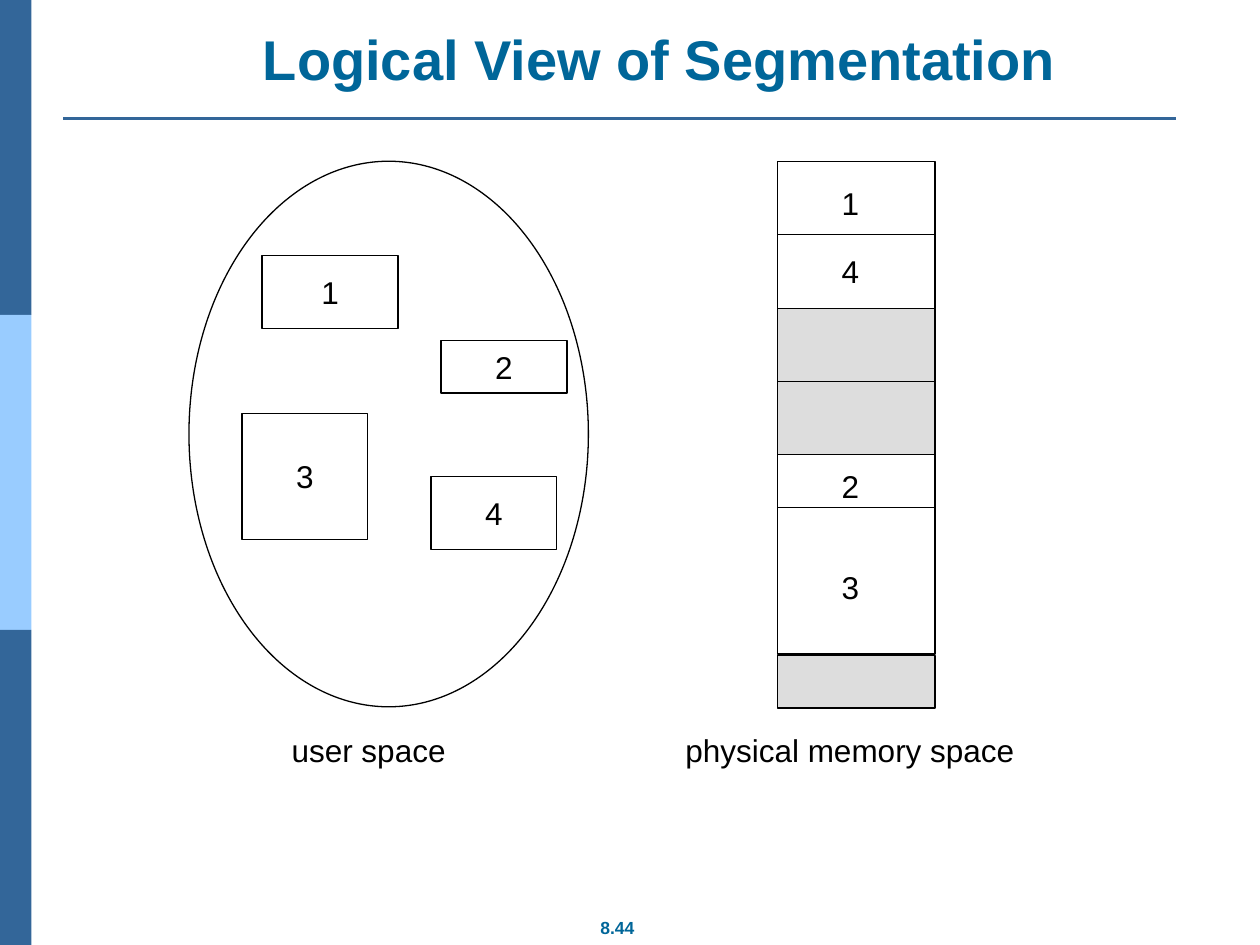
from typing import NamedTuple

from pptx import Presentation
from pptx.dml.color import RGBColor
from pptx.enum.shapes import MSO_CONNECTOR as Connector, MSO_SHAPE as Shape
from pptx.enum.text import MSO_ANCHOR as Anchor, MSO_AUTO_SIZE as AutoSize, PP_ALIGN as Align
from pptx.oxml.xmlchemy import OxmlElement
from pptx.shapes.autoshape import Shape as AutoShape
from pptx.shapes.shapetree import _BaseGroupShapes as ShapeTree
from pptx.util import Inches, Pt

BLACK = RGBColor(0x00, 0x00, 0x00)
WHITE = RGBColor(0xFF, 0xFF, 0xFF)
GRAY = RGBColor(0xDD, 0xDD, 0xDD)
NAVY = RGBColor(0x33, 0x66, 0x99)
SKY = RGBColor(0x99, 0xCC, 0xFF)
TEAL = RGBColor(0x00, 0x66, 0x99)

LABEL_FONT = {"name": "Arial", "size": Pt(18), "bold": False}
TITLE_FONT = {"name": "Arial", "size": Pt(32), "bold": True}
NUMBER_FONT = {"name": "Arial", "size": Pt(10), "bold": True}
FREE_TEXT = {"word_wrap": False, "vertical_anchor": Anchor.MIDDLE}
NUMBER_TEXT = {"word_wrap": False, "vertical_anchor": Anchor.TOP}
TITLE_TEXT = {"word_wrap": True, "auto_size": AutoSize.NONE, "vertical_anchor": Anchor.BOTTOM}


class Box(NamedTuple):
    left: float
    top: float
    width: float
    height: float


class Segment(NamedTuple):
    label: str
    box: Box


class Block(NamedTuple):
    top: float
    height: float
    fill: RGBColor
    divider: float | None = None


class Label(NamedTuple):
    text: str
    box: Box


SEGMENTS = [
    Segment("1", Box(2.08, 2.03, 1.08, 0.58)),
    Segment("3", Box(1.92, 3.28, 1, 1)),
    Segment("2", Box(3.5, 2.7, 1, 0.42)),
    Segment("4", Box(3.42, 3.78, 1, 0.58)),
]
MEMORY_LEFT, MEMORY_WIDTH = 6.17, 1.25
MEMORY_BLOCKS = [
    Block(1.28, 1.17, WHITE, 1.86),
    Block(2.45, 1.17, GRAY, 3.03),
    Block(3.61, 1.58, WHITE, 4.03),
    Block(5.2, 0.42, GRAY),
]
MEMORY_LABEL_TOPS = {"1": 1.41, "4": 1.95, "2": 3.66, "3": 4.46}
CAPTIONS = [
    Label("user space", Box(2.18, 5.75, 1.49, 0.4)),
    Label("physical memory space", Box(5.34, 5.75, 2.81, 0.4)),
]


def write(shape: AutoShape, text: str, font: dict, color: RGBColor, frame: dict) -> None:
    text_frame = shape.text_frame
    text_frame.text = text
    paragraph = text_frame.paragraphs[0]
    paragraph.alignment = Align.CENTER
    for target, values in ((text_frame, frame), (paragraph.font, font)):
        for attribute, value in values.items():
            setattr(target, attribute, value)
    paragraph.font.color.rgb = color


def draw_shape(shapes: ShapeTree, kind: Shape, box: Box, fill: RGBColor,
               outlined: bool = True) -> AutoShape:
    shape = shapes.add_shape(kind, *map(Inches, box))
    shape.shadow.inherit = False
    shape.fill.solid()
    shape.fill.fore_color.rgb = fill
    if outlined:
        shape.line.color.rgb = BLACK
        shape.line.width = Pt(0.75)
    else:
        shape.line.fill.background()
    return shape


def draw_rule(shapes: ShapeTree, left: float, right: float, y: float,
              color: RGBColor, weight: float) -> None:
    rule = shapes.add_connector(
        Connector.STRAIGHT, Inches(left), Inches(y), Inches(right), Inches(y))
    rule.line.color.rgb = color
    rule.line.width = Pt(weight)
    rule._element.spPr.append(OxmlElement("a:effectLst"))


def draw_label(shapes: ShapeTree, label: Label, font: dict = LABEL_FONT,
               color: RGBColor = BLACK, frame: dict = FREE_TEXT) -> None:
    write(shapes.add_textbox(*map(Inches, label.box)), label.text, font, color, frame)


def draw_user_space(shapes: ShapeTree) -> None:
    draw_shape(shapes, Shape.OVAL, Box(1.5, 1.28, 3.17, 4.33), WHITE)
    for segment in SEGMENTS:
        rectangle = draw_shape(shapes, Shape.RECTANGLE, segment.box, WHITE)
        write(rectangle, segment.label, LABEL_FONT, BLACK, FREE_TEXT)


def draw_physical_memory(shapes: ShapeTree) -> None:
    for block in MEMORY_BLOCKS:
        box = Box(MEMORY_LEFT, block.top, MEMORY_WIDTH, block.height)
        draw_shape(shapes, Shape.RECTANGLE, box, block.fill)
        if block.divider is not None:
            draw_rule(shapes, MEMORY_LEFT, MEMORY_LEFT + MEMORY_WIDTH, block.divider, BLACK, 0.75)
    for text, top in MEMORY_LABEL_TOPS.items():
        draw_label(shapes, Label(text, Box(6.58, top, 0.34, 0.4)))


def main() -> None:
    presentation = Presentation()
    presentation.slide_width = Inches(10)
    presentation.slide_height = Inches(7.5)
    slide = presentation.slides.add_slide(presentation.slide_layouts[5])
    shapes = slide.shapes

    title = shapes.title
    title_box = Box(0.97, 0.15, 8.53, 0.63)
    for attribute, value in zip(Box._fields, title_box):
        setattr(title, attribute, Inches(value))
    write(title, "Logical View of Segmentation", TITLE_FONT, TEAL, TITLE_TEXT)

    for index, color in enumerate((NAVY, SKY, NAVY)):
        draw_shape(shapes, Shape.RECTANGLE, Box(0, index * 2.5, 0.25, 2.5), color, outlined=False)
    draw_rule(shapes, 0.5, 9.33, 0.94, NAVY, 1.5)
    draw_label(shapes, Label("8.44", Box(4.41, 7.23, 0.98, 0.27)), NUMBER_FONT, TEAL, NUMBER_TEXT)

    draw_user_space(shapes)
    draw_physical_memory(shapes.add_group_shape().shapes)
    for caption in CAPTIONS:
        draw_label(shapes, caption)

    presentation.save("out.pptx")


if __name__ == "__main__":
    main()
